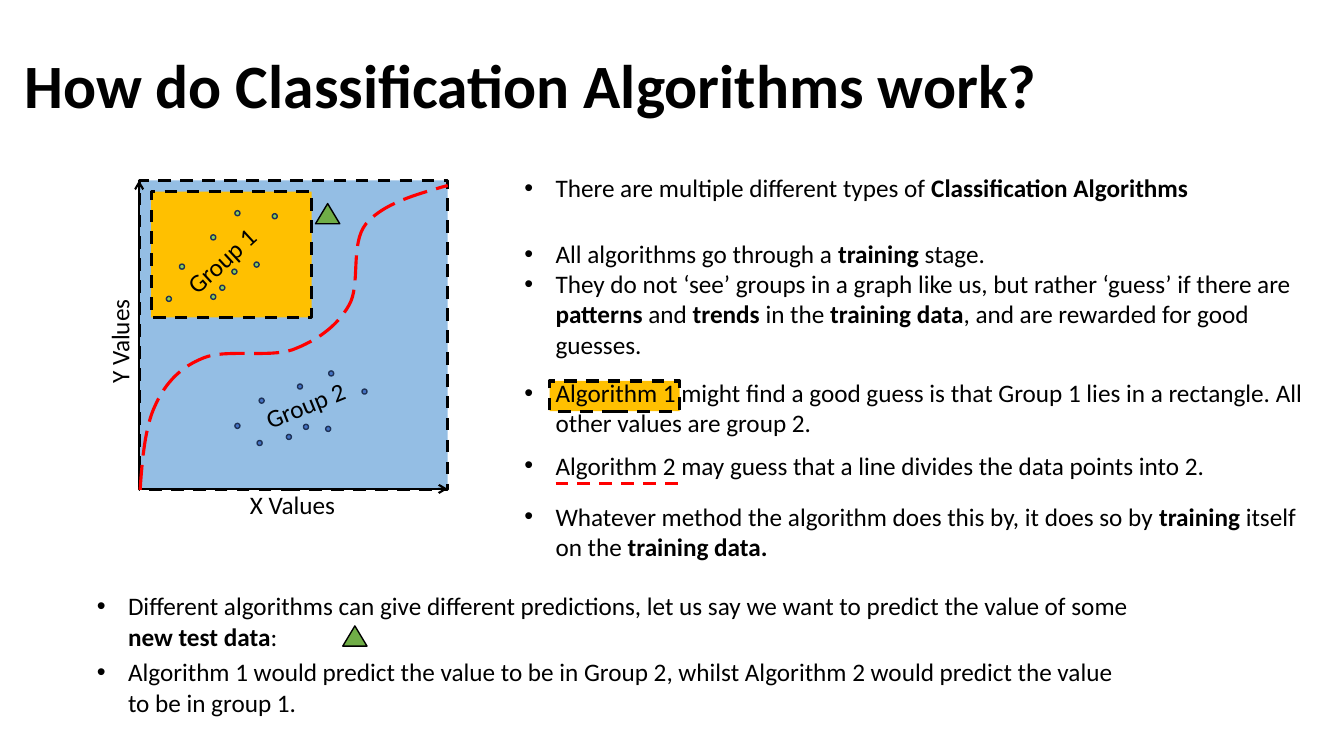
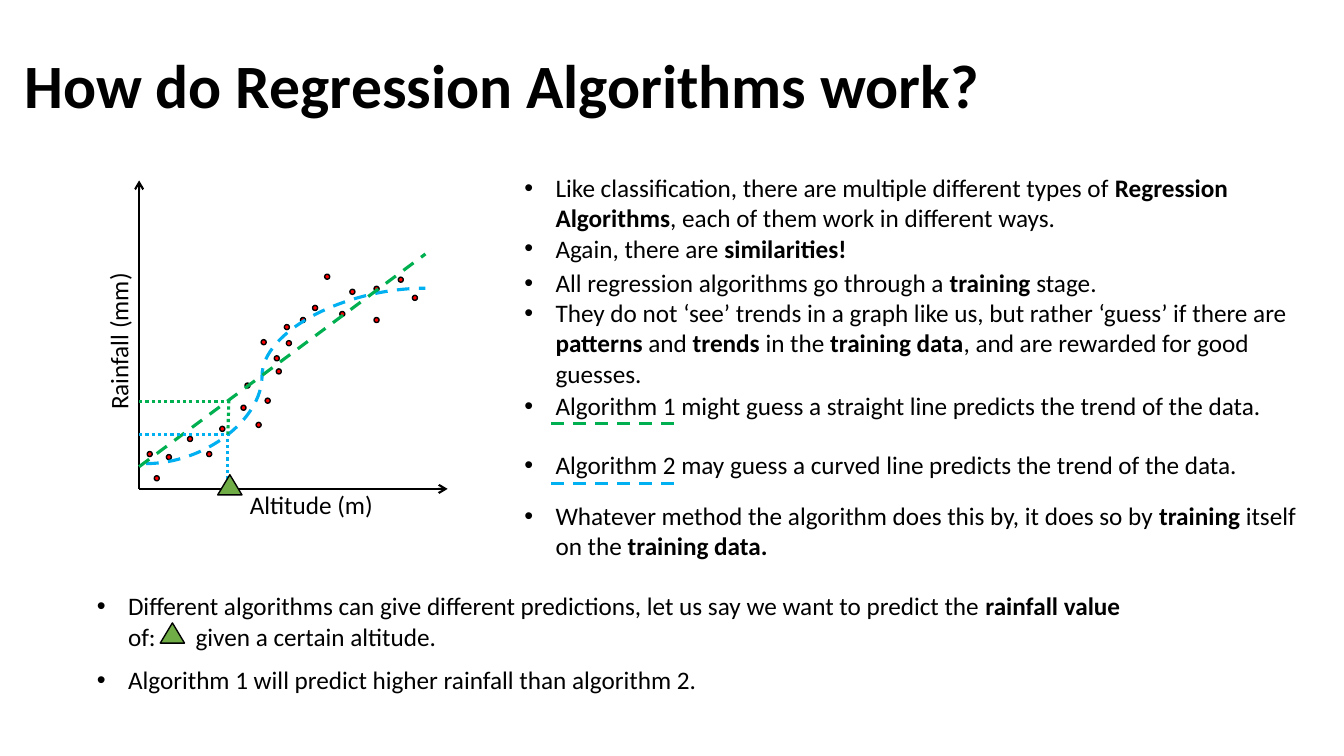
"""Build two slides on how classification and regression algorithms work."""
from lxml.etree import SubElement
from pptx import Presentation
from pptx.dml.color import RGBColor
from pptx.enum.dml import MSO_LINE
from pptx.enum.shapes import MSO_CONNECTOR, MSO_SHAPE
from pptx.enum.text import MSO_ANCHOR, MSO_AUTO_SIZE, PP_ALIGN
from pptx.oxml.ns import qn
from pptx.shapes.connector import Connector
from pptx.util import Inches, Pt

BLACK, NAVY, RED = "000000", "1E3256", "FF0000"
GOLD, SKY, BLUE, LIME = "FFC000", "94BEE4", "4472C4", "92D050"
LEAF, GREEN, CYAN = "70AD47", "00B050", "00B0F0"
DASH, LONG_DASH, DOT = MSO_LINE.DASH, MSO_LINE.LONG_DASH, MSO_LINE.ROUND_DOT
ORIGIN, X_END, Y_END = (1.38, 4.85), (4.44, 4.85), (1.38, 1.79)
DOT_SIZE = 0.05
TRIANGLE_SIZE = (0.24, 0.2)
CURVE_STEPS = 16


def write(tf, paragraphs, size=18):
    """Write (space before, text) paragraphs, with bold between asterisks."""
    tf.word_wrap = True
    tf.auto_size = MSO_AUTO_SIZE.NONE
    for i, (space, text) in enumerate(paragraphs):
        p = tf.add_paragraph() if i else tf.paragraphs[0]
        p.alignment = PP_ALIGN.LEFT
        p.line_spacing = 1.0
        p.space_before, p.space_after = Pt(space), Pt(0)
        for j, piece in enumerate(text.split("*")):
            if piece:
                r = p.add_run()
                r.text = piece
                r.font.name, r.font.size = "Calibri", Pt(size)
                r.font.bold = j % 2 == 1
                r.font.color.rgb = RGBColor.from_string(BLACK)


def style(sp, color, width, dash=None, fill=None):
    """Set the outline and fill of a shape or connector, without shadow."""
    sp.line.color.rgb = RGBColor.from_string(color)
    sp.line.width = Pt(width)
    if dash:
        sp.line.dash_style = dash
    if isinstance(sp, Connector):
        SubElement(sp.element.spPr, qn("a:effectLst"))
        return
    sp.shadow.inherit = False
    if fill:
        sp.fill.solid()
        sp.fill.fore_color.rgb = RGBColor.from_string(fill)
    else:
        sp.fill.background()


closing = (15, "Whatever method the algorithm does this by, it does so by *training* itself on the *training data.*")

slides = [
    {
        "title": "How do Classification Algorithms work?",
        "body": [
            (0, "There are multiple different types of *Classification Algorithms*"),
            (25.5, "All algorithms go through a *training* stage."),
            (0, "They do not ‘see’ groups in a graph like us, but rather ‘guess’ if there are "
                "*patterns *and *trends* in the* training data*, and are rewarded for good guesses."),
            (13, "Algorithm 1 might find a good guess is that Group 1 lies in a rectangle. "
                 "All other values are group 2."),
            (8.5, "Algorithm 2 may guess that a line divides the data points into 2."),
            closing,
        ],
        "predictions": [
            (0, "Different algorithms can give different predictions, let us say we want to "
                "predict the value of some *new test data*:"),
            (4, "Algorithm 1 would predict the value to be in Group 2, whilst Algorithm 2 would "
                "predict the value to be in group 1."),
        ],
        "labels": [
            ("X Values", 2.38, 4.81, 1.06, 0),
            ("Y Values", 0.66, 3.18, 1.05, 270),
            ("Group 1", 1.62, 2.21, 1.52, 317.3),
            ("Group 2", 2.5, 3.72, 1.52, 337.9),
        ],
        "areas": [
            (5.45, 3.78, 1.29, 0.3, GOLD),
            (1.38, 1.79, 3.06, 3.07, SKY),
            (1.5, 1.9, 1.59, 1.25, GOLD),
        ],
        "dots": [
            (BLUE, NAVY, [
                (2.33, 4.2), (2.55, 4.37), (2.57, 3.95), (2.84, 4.31), (3.01, 4.21),
                (2.95, 3.81), (3.23, 4.23), (3.26, 3.68), (3.59, 3.86)]),
            (LIME, NAVY, [
                (1.65, 2.94), (2.09, 2.92), (1.78, 2.62), (2.18, 2.83), (2.3, 2.67),
                (2.09, 2.33), (2.52, 2.6), (2.33, 2.09), (2.7, 2.12)]),
        ],
        "divider": [
            (1.39, 4.86), (1.41, 4.55), (1.44, 4.23), (1.54, 4.02),
            (1.64, 3.8), (1.79, 3.64), (2.02, 3.55),
            (2.24, 3.46), (2.66, 3.55), (2.9, 3.47),
            (3.14, 3.38), (3.34, 3.24), (3.46, 3.03),
            (3.58, 2.83), (3.47, 2.42), (3.63, 2.22),
            (3.8, 2.02), (4.12, 1.93), (4.44, 1.84)],
        "lines": [((5.51, 4.8), (6.8, 4.8), RED, DASH)],
        "trend": None,
        "triangles": [(3.13, 2.02), (3.4, 6.21)],
    },
    {
        "title": "How do Regression Algorithms work?",
        "body": [
            (0, "Like classification, there are multiple different types of "
                "*Regression Algorithms*, each of them work in different ways."),
            (0, "Again, there are *similarities!*"),
            (3, "All regression algorithms go through a *training* stage."),
            (0, "They do not ‘see’ trends in a graph like us, but rather ‘guess’ if there are "
                "*patterns *and *trends* in the *training data*, and are rewarded for good guesses."),
            (1.5, "Algorithm 1 might guess a straight line predicts the trend of the data."),
            (20.5, "Algorithm 2 may guess a curved line predicts the trend of the data."),
            closing,
        ],
        "predictions": [
            (0, "Different algorithms can give different predictions, let us say we want to "
                "predict the *rainfall value *of:\tgiven a certain altitude."),
            (9.5, "Algorithm 1 will predict higher rainfall than algorithm 2."),
        ],
        "labels": [
            ("Altitude (m)", 2.38, 4.81, 1.44, 0),
            ("Rainfall (mm)", 0.39, 3.18, 1.57, 270),
        ],
        "areas": [],
        "dots": [
            (RED, BLACK, [
                (1.65, 4.51), (1.86, 4.33), (2.05, 4.48), (2.18, 4.23), (2.39, 4.02), (2.54, 4.19),
                (2.43, 3.8), (2.63, 3.95), (2.74, 3.66), (2.59, 3.37), (2.72, 3.53), (2.82, 3.22),
                (2.98, 3.15), (2.84, 3.38), (1.53, 4.72), (3.1, 3.03), (1.46, 4.48), (3.37, 3.09),
                (3.47, 2.87), (3.22, 2.72), (3.71, 3.15), (3.71, 2.84), (4.09, 2.93), (3.95, 2.75)]),
        ],
        "divider": [],
        "lines": [
            ((1.38, 4.63), (4.22, 2.52), GREEN, DASH),
            ((5.47, 4.2), (6.76, 4.2), GREEN, DASH),
            ((5.47, 4.8), (6.73, 4.8), CYAN, DASH),
            ((1.38, 3.98), (2.3, 3.98), GREEN, DOT),
            ((2.26, 4.88), (2.26, 4.31), CYAN, DOT),
            ((1.38, 4.31), (2.3, 4.31), CYAN, DOT),
            ((2.27, 3.97), (2.26, 4.31), GREEN, DOT),
        ],
        "trend": ((1.45, 4.6), (4.22, 2.86)),
        "triangles": [(1.59, 6.18), (2.16, 4.71)],
    },
]

prs = Presentation()
prs.slide_width, prs.slide_height = Inches(13.33), Inches(7.5)

for data in slides:
    s = prs.slides.add_slide(prs.slide_layouts[3])
    title, body, predictions = s.placeholders
    for sp, box in [(title, (0.14, 0.15, 11.5, 1.45)),
                    (body, (5.1, 1.66, 8, 4.01)),
                    (predictions, (0.86, 5.81, 10.44, 1.38))]:
        sp.left, sp.top, sp.width, sp.height = [Inches(v) for v in box]

    write(title.text_frame, [(0, f"*{data['title']}*")], 44)
    title.text_frame.vertical_anchor = MSO_ANCHOR.MIDDLE
    title.text_frame.paragraphs[0].line_spacing = 0.9

    for sp, key in [(body, "body"), (predictions, "predictions")]:
        tf = sp.text_frame
        write(tf, data[key])
        tf.vertical_anchor = MSO_ANCHOR.TOP
        for p in tf.paragraphs:
            pPr = p._p.get_or_add_pPr()
            pPr.set("marL", str(Inches(0.31)))
            pPr.set("indent", str(Inches(-0.31)))
            SubElement(pPr, qn("a:buChar"), char="•")
            if "\t" in p.text:
                tabs = SubElement(pPr, qn("a:tabLst"))
                SubElement(tabs, qn("a:tab"), pos=str(Inches(0.98)), algn="l")

    for i, (x, y, w, h, fill) in enumerate(data["areas"]):
        sp = s.shapes.add_shape(MSO_SHAPE.RECTANGLE, Inches(x), Inches(y), Inches(w), Inches(h))
        style(sp, BLACK, 2.25, DASH, fill)
        s.shapes.element.insert(2 + i, sp.element)

    for end in (X_END, Y_END):
        points = [Inches(v) for v in ORIGIN + end]
        sp = s.shapes.add_connector(MSO_CONNECTOR.STRAIGHT, *points)
        style(sp, BLACK, 1.5)
        SubElement(sp.element.spPr.find(qn("a:ln")), qn("a:tailEnd"), type="arrow")

    for fill, outline, points in data["dots"]:
        for x, y in points:
            sp = s.shapes.add_shape(MSO_SHAPE.OVAL, Inches(x), Inches(y), Inches(DOT_SIZE), Inches(DOT_SIZE))
            style(sp, outline, 1, fill=fill)

    for text, x, y, w, angle in data["labels"]:
        sp = s.shapes.add_textbox(Inches(x), Inches(y), Inches(w), Inches(0.4))
        sp.rotation = angle
        write(sp.text_frame, [(0, text)])

    if data["divider"]:
        knots = data["divider"]
        points = []
        for i in range(0, len(knots) - 1, 3):
            for step in range(1, CURVE_STEPS + 1):
                t = step / CURVE_STEPS
                weights = ((1 - t) ** 3, 3 * t * (1 - t) ** 2, 3 * t ** 2 * (1 - t), t ** 3)
                points.append([Inches(sum(w * k[axis] for w, k in zip(weights, knots[i:i + 4])))
                               for axis in (0, 1)])
        builder = s.shapes.build_freeform(*[Inches(v) for v in knots[0]])
        builder.add_line_segments(points, close=False)
        style(builder.convert_to_shape(), RED, 2.25, LONG_DASH)

    if data["trend"]:
        start, end = data["trend"]
        sp = s.shapes.add_connector(MSO_CONNECTOR.CURVE, *[Inches(v) for v in start + end])
        style(sp, CYAN, 2.25, DASH)
        guides = sp.element.spPr.find(qn("a:prstGeom")).find(qn("a:avLst"))
        SubElement(guides, qn("a:gd"), name="adj1", fmla="val 41500")

    for start, end, color, dash in data["lines"]:
        sp = s.shapes.add_connector(MSO_CONNECTOR.STRAIGHT, *[Inches(v) for v in start + end])
        style(sp, color, 2.25, dash)

    for corner in data["triangles"]:
        box = [Inches(v) for v in corner + TRIANGLE_SIZE]
        sp = s.shapes.add_shape(MSO_SHAPE.ISOSCELES_TRIANGLE, *box)
        style(sp, BLACK, 1, fill=LEAF)

prs.save("out.pptx")
